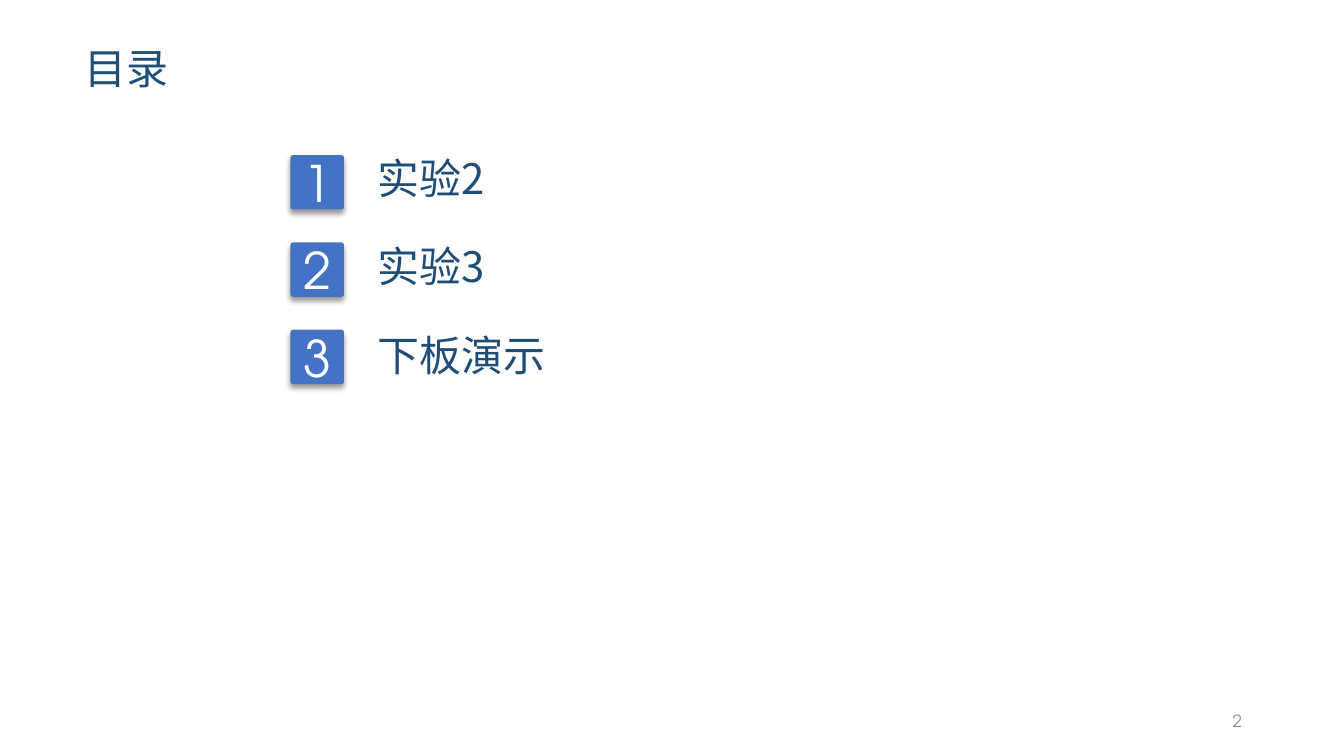
import dataclasses

import pptx
import pptx.dml.color
import pptx.enum.shapes
import pptx.enum.text
import pptx.oxml
import pptx.oxml.ns
import pptx.util

Cm = pptx.util.Cm
Align = pptx.enum.text.PP_ALIGN
Anchor = pptx.enum.text.MSO_ANCHOR


@dataclasses.dataclass(frozen=True)
class Theme:
    navy: str = "1F4E79"
    blue: str = "4472C4"
    white: str = "FFFFFF"
    gray: str = "8C8C8C"
    black: str = "000000"
    hanzi: str = "Noto Sans CJK SC"
    digit: str = "TeX Gyre Adventor"
    head: int = 30
    badge: int = 36
    foot: int = 12


@dataclasses.dataclass(frozen=True)
class Label:
    text: str
    left: float
    top: float


THEME = Theme()
TOPICS = ("实验2", "实验3", "下板演示")


def color(code: str) -> pptx.dml.color.RGBColor:
    return pptx.dml.color.RGBColor.from_string(code)


def write(shape, text: str, face: str, size: int, code: str, align=Align.LEFT) -> None:
    para = shape.text_frame.paragraphs[0]
    para.text = text
    para.alignment = align
    font = para.font
    font.name = face
    font.size = pptx.util.Pt(size)
    font.color.rgb = color(code)
    props = para.runs[0].font
    props.name = face
    east = pptx.oxml.parse_xml(
        f'<a:ea {pptx.oxml.ns.nsdecls("a")} typeface="{face}"/>'
    )
    props._element.append(east)


def add_label(slide, label: Label) -> None:
    box = slide.shapes.add_textbox(Cm(label.left), Cm(label.top), Cm(14.45), Cm(1.53))
    frame = box.text_frame
    frame.word_wrap = True
    frame.auto_size = pptx.enum.text.MSO_AUTO_SIZE.SHAPE_TO_FIT_TEXT
    frame.margin_top = frame.margin_bottom = 0
    write(box, label.text, THEME.hanzi, THEME.head, THEME.navy)


def add_badge(slide, label: Label) -> None:
    kind = pptx.enum.shapes.MSO_SHAPE.ROUNDED_RECTANGLE
    badge = slide.shapes.add_shape(
        kind, Cm(label.left), Cm(label.top), Cm(1.35), Cm(1.37)
    )
    badge.adjustments[0] = 0.05
    badge.fill.solid()
    badge.fill.fore_color.rgb = color(THEME.blue)
    badge.line.fill.background()
    badge.shadow.inherit = False
    glow = badge._element.spPr.find(pptx.oxml.ns.qn("a:effectLst"))
    glow.append(pptx.oxml.parse_xml(
        f'<a:outerShdw {pptx.oxml.ns.nsdecls("a")} blurRad="{pptx.util.Pt(4)}" '
        f'dist="{pptx.util.Pt(3)}" dir="5400000" algn="t" rotWithShape="0">'
        f'<a:srgbClr val="{THEME.black}"><a:alpha val="40000"/></a:srgbClr>'
        '</a:outerShdw>'
    ))
    badge.text_frame.vertical_anchor = Anchor.MIDDLE
    write(badge, label.text, THEME.digit, THEME.badge, THEME.white, Align.CENTER)


def add_number(slide, text: str) -> None:
    box = slide.shapes.add_textbox(Cm(23.93), Cm(17.65), Cm(7.62), Cm(1.02))
    box.text_frame.word_wrap = True
    box.text_frame.vertical_anchor = Anchor.MIDDLE
    write(box, text, THEME.digit, THEME.foot, THEME.gray, Align.RIGHT)


def main() -> None:
    deck = pptx.Presentation()
    deck.slide_width, deck.slide_height = Cm(33.87), Cm(19.05)
    slide = deck.slides.add_slide(deck.slide_layouts[6])
    add_label(slide, Label("目录", 1.88, 1.07))
    add_number(slide, "2")
    for row, topic in enumerate(TOPICS):
        add_badge(slide, Label(str(row + 1), 7.32, 3.91 + 2.2 * row))
        add_label(slide, Label(topic, 9.27, 3.84 + 2.23 * row))
    deck.save("out.pptx")


if __name__ == "__main__":
    main()
